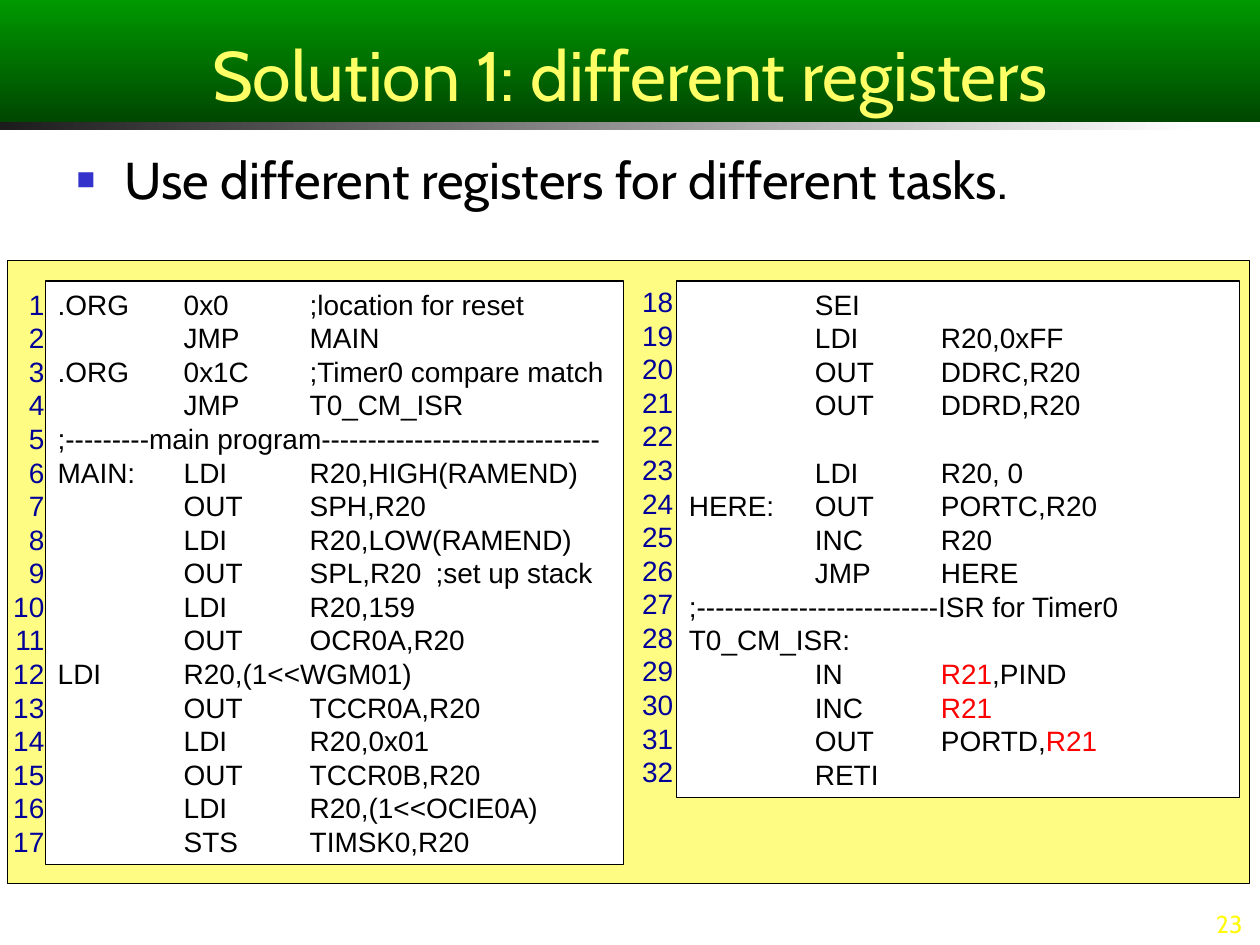
"""Build the slide on giving each task its own registers, with a numbered listing."""
from dataclasses import dataclass

from lxml.etree import SubElement
from pptx import Presentation
from pptx.dml.color import RGBColor
from pptx.enum.shapes import MSO_SHAPE
from pptx.enum.text import MSO_ANCHOR, MSO_AUTO_SIZE, PP_ALIGN
from pptx.oxml.ns import qn
from pptx.util import Inches, Pt


@dataclass(frozen=True)
class Theme:
    heading_font: str = "Cabin"
    code_font: str = "Arial"
    title_size: float = 40
    point_size: float = 29.6
    code_size: float = 16
    page_size: float = 14
    title: str = "FFFF66"
    text: str = "000000"
    number: str = "000099"
    changed: str = "FF0000"
    bullet: str = "3333CC"
    page: str = "FFFB0B"
    panel: str = "FFFC84"
    paper: str = "FFFFFF"
    banner: tuple = ("009900", "004700")
    rule: tuple = ("1C1C1C", "FFFFFF")


theme = Theme()


def add_text(paragraph, text, font, size, color):
    run = paragraph.add_run()
    run.text = text
    run.font.name = font
    run.font.size = Pt(size)
    run.font.color.rgb = RGBColor.from_string(color)


def style_gradient(shape, colors, angle):
    shape.fill.gradient()
    shape.fill.gradient_angle = angle
    for stop, color in zip(shape.fill.gradient_stops, colors):
        stop.color.rgb = RGBColor.from_string(color)


setup_code = [
    ".ORG\t0x0\t;location for reset",
    "\tJMP\tMAIN",
    ".ORG\t0x1C\t;Timer0 compare match",
    "\tJMP\tT0_CM_ISR",
    ";---------main program------------------------------",
    "MAIN:\tLDI\tR20,HIGH(RAMEND)",
    "\tOUT\tSPH,R20",
    "\tLDI\tR20,LOW(RAMEND)",
    "\tOUT\tSPL,R20\t;set up stack",
    "\tLDI\tR20,159",
    "\tOUT\tOCR0A,R20\t\tLDI\tR20,(1<<WGM01)",
    "\tOUT\tTCCR0A,R20",
    "\tLDI\tR20,0x01",
    "\tOUT\tTCCR0B,R20",
    "\tLDI\tR20,(1<<OCIE0A)",
    "\tSTS\tTIMSK0,R20",
]
task_code = [
    "\tSEI",
    "\tLDI\tR20,0xFF",
    "\tOUT\tDDRC,R20",
    "\tOUT\tDDRD,R20",
    "",
    "\tLDI\tR20, 0",
    "HERE:\tOUT \tPORTC,R20",
    "\tINC\tR20",
    "\tJMP\tHERE",
    ";--------------------------ISR for Timer0",
    "T0_CM_ISR:",
    "\tIN\tR21,PIND",
    "\tINC\tR21",
    "\tOUT \tPORTD,R21",
    "\tRETI",
]
listings = [
    (setup_code, range(1, 18), (0.36, 2.23, 4.59, 4.63), (-0.09, 2.23, 0.54, 4.63)),
    (task_code, range(18, 33), (5.37, 2.23, 4.47, 4.1), (4.9, 2.21, 0.54, 4.1)),
]

deck = Presentation()
deck.slide_width = Inches(10)
deck.slide_height = Inches(7.5)
slide = deck.slides.add_slide(deck.slide_layouts[5])

title = slide.shapes.title
title.left, title.top = Inches(0), Inches(0)
title.width, title.height = Inches(10), Inches(0.97)
style_gradient(title, theme.banner, 270)
title.text_frame.auto_size = MSO_AUTO_SIZE.NONE
title.text_frame.vertical_anchor = MSO_ANCHOR.BOTTOM
heading = title.text_frame.paragraphs[0]
heading.alignment = PP_ALIGN.CENTER
add_text(heading, "Solution 1: different registers", theme.heading_font, theme.title_size, theme.title)

rule = slide.shapes.add_shape(MSO_SHAPE.RECTANGLE, Inches(0), Inches(0.97), Inches(9.51), Inches(0.06))
rule.shadow.inherit = False
style_gradient(rule, theme.rule, 0)
rule.line.fill.background()

point_box = slide.shapes.add_textbox(Inches(0.51), Inches(1.12), Inches(9.09), Inches(0.63))
point_box.text_frame.word_wrap = True
point = point_box.text_frame.paragraphs[0]
point_format = point._p.get_or_add_pPr()
point_format.set("marL", str(Inches(0.38)))
point_format.set("indent", str(-Inches(0.38)))
bullet_color = SubElement(point_format, qn("a:buClr"))
SubElement(bullet_color, qn("a:srgbClr"), val=theme.bullet)
SubElement(point_format, qn("a:buSzPct"), val="60000")
SubElement(point_format, qn("a:buFont"), typeface=theme.code_font)
SubElement(point_format, qn("a:buChar"), char="■")
add_text(point, "Use different registers for different tasks.", theme.heading_font, theme.point_size, theme.text)

panel = slide.shapes.add_shape(MSO_SHAPE.RECTANGLE, Inches(0.06), Inches(2.07), Inches(9.86), Inches(4.94))
panel.shadow.inherit = False
panel.fill.solid()
panel.fill.fore_color.rgb = RGBColor.from_string(theme.panel)
panel.line.color.rgb = RGBColor.from_string(theme.text)
panel.line.width = Pt(0.75)

for code_lines, line_numbers, code_place, number_place in listings:
    listing = slide.shapes.add_shape(MSO_SHAPE.RECTANGLE, *map(Inches, code_place))
    listing.shadow.inherit = False
    listing.fill.solid()
    listing.fill.fore_color.rgb = RGBColor.from_string(theme.paper)
    listing.line.color.rgb = RGBColor.from_string(theme.text)
    listing.line.width = Pt(0.75)
    listing.text_frame.word_wrap = True
    listing.text_frame.vertical_anchor = MSO_ANCHOR.TOP
    for index, code in enumerate(code_lines):
        line = listing.text_frame.add_paragraph() if index else listing.text_frame.paragraphs[0]
        line.alignment = PP_ALIGN.LEFT
        tab_stops = SubElement(line._p.get_or_add_pPr(), qn("a:tabLst"))
        for column in range(1, 8):
            SubElement(tab_stops, qn("a:tab"), pos=str(Inches(column)), algn="l")
        before, register, after = code.partition("R21")
        for part, color in ((before, theme.text), (register, theme.changed), (after, theme.text)):
            if part:
                add_text(line, part, theme.code_font, theme.code_size, color)
        if not code:
            SubElement(line._p, qn("a:endParaRPr"), sz=str(theme.code_size * 100))

    numbering = slide.shapes.add_textbox(*map(Inches, number_place))
    numbering.text_frame.word_wrap = True
    for index, number in enumerate(line_numbers):
        line = numbering.text_frame.add_paragraph() if index else numbering.text_frame.paragraphs[0]
        line.alignment = PP_ALIGN.RIGHT
        add_text(line, str(number), theme.code_font, theme.code_size, theme.number)

page_box = slide.shapes.add_textbox(Inches(7.83), Inches(7.22), Inches(2.13), Inches(0.28))
page_box.text_frame.word_wrap = True
page_box.text_frame.vertical_anchor = MSO_ANCHOR.BOTTOM
page = page_box.text_frame.paragraphs[0]
page.alignment = PP_ALIGN.RIGHT
add_text(page, "23", theme.heading_font, theme.page_size, theme.page)

deck.save("out.pptx")
